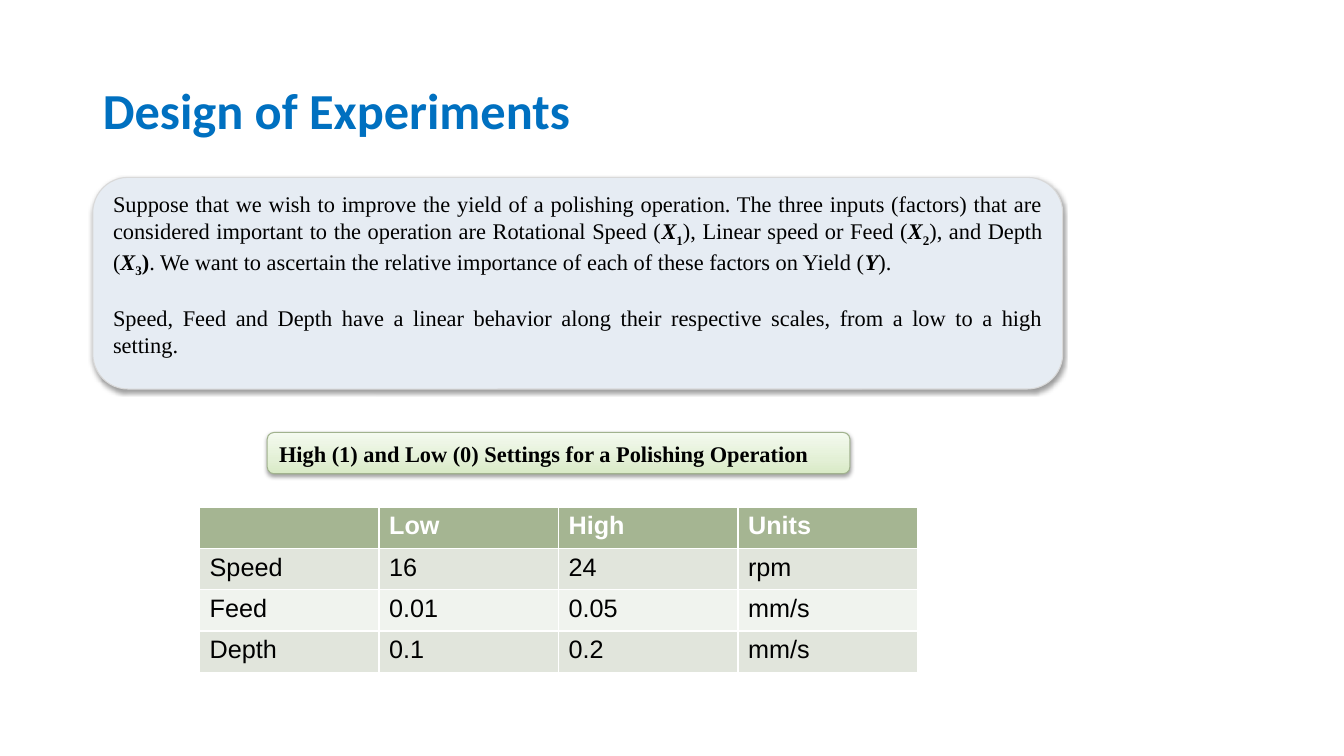
from copy import deepcopy

from lxml import etree
from pptx import Presentation
from pptx import util as u
from pptx.dml.color import RGBColor
from pptx.enum import shapes, text
from pptx.oxml import ns

BLUE = RGBColor(0x00, 0x70, 0xC0)
BLACK = RGBColor(0x00, 0x00, 0x00)
WHITE = RGBColor(0xFF, 0xFF, 0xFF)
PANEL_FILL = RGBColor(0xE6, 0xEC, 0xF3)
PANEL_LINE = RGBColor(0xD9, 0xD9, 0xD9)
CAPTION_STOPS = [(0, RGBColor(0xD9, 0xEA, 0xC6)),
                 (0.35, RGBColor(0xE3, 0xF0, 0xD6)),
                 (1, RGBColor(0xF4, 0xFA, 0xEF))]
CAPTION_LINE = RGBColor(0xA1, 0xB2, 0x8E)
HEADER_FILL = RGBColor(0xA5, 0xB5, 0x92)
BAND_FILLS = [RGBColor(0xF0, 0xF3, 0xEE), RGBColor(0xE1, 0xE5, 0xDC)]

MARGIN = 0.92
COLUMN_WIDTH, ROW_HEIGHT = 1.78, 0.41


def add_run(paragraph, words, font="Times New Roman", size=16, color=BLACK,
            bold=False, italic=False, subscript=False):
    run = paragraph.add_run()
    run.text = words
    run.font.name, run.font.size = font, u.Pt(size)
    run.font.bold, run.font.italic = bold, italic
    run.font.color.rgb = color
    if subscript:
        run.font._element.set("baseline", "-25000")


def add_box(left, top, width, height, line_color):
    """Rounded box with a thin line, a soft shadow below and justified text."""
    box = slide.shapes.add_shape(
        shapes.MSO_SHAPE.ROUNDED_RECTANGLE, u.Inches(left), u.Inches(top),
        u.Inches(width), u.Inches(height))
    box.line.color.rgb = line_color
    box.line.width = u.Pt(0.75)
    box.shadow.inherit = False
    effects = box._element.spPr.find(ns.qn("a:effectLst"))
    shadow = etree.SubElement(
        effects, ns.qn("a:outerShdw"), blurRad=str(u.Pt(3.1)),
        dist=str(u.Pt(1.6)), dir="5400000", rotWithShape="0")
    shadow_color = etree.SubElement(shadow, ns.qn("a:srgbClr"), val=str(BLACK))
    etree.SubElement(shadow_color, ns.qn("a:alpha"), val="38000")
    box.text_frame.word_wrap = True
    box.text_frame.vertical_anchor = text.MSO_ANCHOR.MIDDLE
    box.text_frame.paragraphs[0].alignment = text.PP_ALIGN.JUSTIFY
    return box


presentation = Presentation()
presentation.slide_width = u.Inches(13.33)
presentation.slide_height = u.Inches(7.5)
slide = presentation.slides.add_slide(presentation.slide_layouts[5])

# Title
title = slide.shapes.title
title.left, title.top = u.Inches(MARGIN), u.Inches(0.4)
title.width, title.height = u.Inches(11.5), u.Inches(1.45)
title.text_frame.vertical_anchor = text.MSO_ANCHOR.MIDDLE
paragraph = title.text_frame.paragraphs[0]
paragraph.alignment = text.PP_ALIGN.LEFT
paragraph.line_spacing = 0.9
add_run(paragraph, "Design of Experiments", font="Calibri", size=36,
        color=BLUE, bold=True)

# Problem statement
panel = add_box(MARGIN, 1.76, 9.62, 2.1, PANEL_LINE)
panel.fill.solid()
panel.fill.fore_color.rgb = PANEL_FILL
panel.text_frame.margin_bottom = u.Inches(0.23)
paragraph = panel.text_frame.paragraphs[0]
add_run(paragraph, "Suppose that we wish to improve the yield of a polishing "
        "operation. The three inputs (factors) that are considered important "
        "to the operation are Rotational Speed (")
for number, following in [("1", "), Linear speed or Feed ("),
                          ("2", "), and Depth ("), ("3", "")]:
    add_run(paragraph, "X", bold=True, italic=True)
    add_run(paragraph, number, bold=True, subscript=True)
    if following:
        add_run(paragraph, following)
add_run(paragraph, ")", bold=True)
add_run(paragraph, ". We want to ascertain the relative importance of each of "
        "these factors on Yield (")
add_run(paragraph, "Y", bold=True, italic=True)
add_run(paragraph, ").")
paragraph = panel.text_frame.add_paragraph()
paragraph.alignment = text.PP_ALIGN.JUSTIFY
paragraph.space_before = u.Pt(18.5)
add_run(paragraph, "Speed, Feed and Depth have a linear behavior along their "
        "respective scales, from a low to a high setting.")

# Table caption, shaded from bottom to top
caption = add_box(2.65, 4.29, 5.78, ROW_HEIGHT, CAPTION_LINE)
caption.fill.gradient()
caption.fill.gradient_angle = 90
stop_list = caption._element.spPr.find(ns.qn("a:gradFill")).gsLst
stop_list.insert(1, deepcopy(stop_list[0]))
for stop, (position, color) in zip(caption.fill.gradient_stops, CAPTION_STOPS):
    stop.position = position
    stop.color.rgb = color
add_run(caption.text_frame.paragraphs[0],
        "High (1) and Low (0) Settings for a Polishing Operation", bold=True)

# Settings table
settings = [["", "Low", "High", "Units"],
            ["Speed", "16", "24", "rpm"],
            ["Feed", "0.01", "0.05", "mm/s"],
            ["Depth", "0.1", "0.2", "mm/s"]]
table = slide.shapes.add_table(
    len(settings), len(settings[0]), u.Inches(1.98), u.Inches(5.03),
    u.Inches(COLUMN_WIDTH * len(settings[0])),
    u.Inches(ROW_HEIGHT * len(settings))).table
for row, values in enumerate(settings):
    header = row == 0
    for column, value in enumerate(values):
        cell = table.cell(row, column)
        cell.fill.solid()
        cell.fill.fore_color.rgb = HEADER_FILL if header else BAND_FILLS[row % 2]
        if value:
            add_run(cell.text_frame.paragraphs[0], value, font="Arial", size=18,
                    color=WHITE if header else BLACK, bold=header)

presentation.save("out.pptx")
